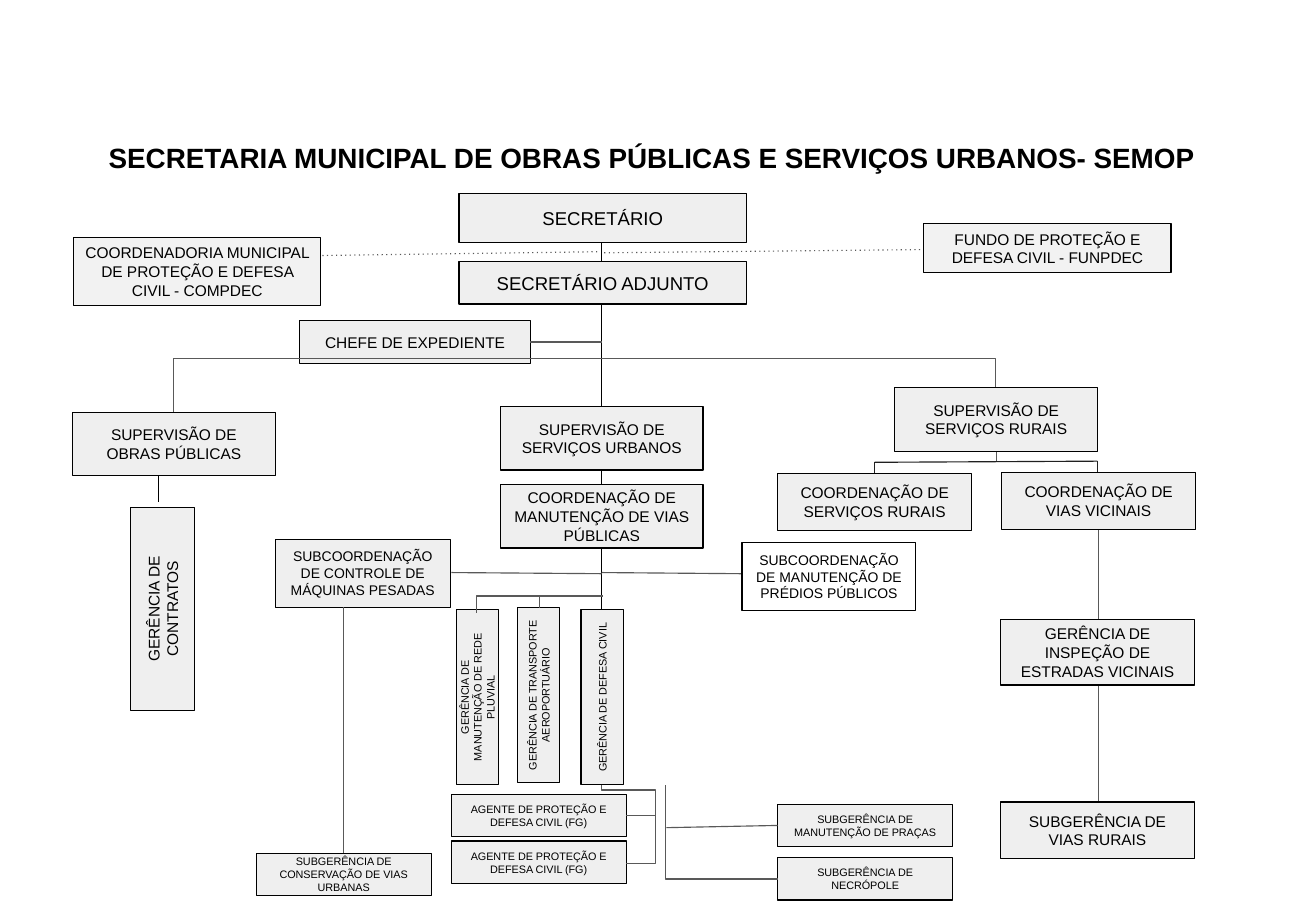
from dataclasses import dataclass
from typing import Any

from lxml.etree import SubElement
from pptx import Presentation
from pptx.dml.color import RGBColor
from pptx.enum.dml import MSO_LINE
from pptx.enum.shapes import MSO_CONNECTOR, MSO_SHAPE
from pptx.enum.text import MSO_ANCHOR, MSO_AUTO_SIZE, PP_ALIGN
from pptx.oxml.ns import qn
from pptx.util import Cm, Inches, Pt

BLACK = RGBColor(0x00, 0x00, 0x00)
WHITE = RGBColor(0xFF, 0xFF, 0xFF)
CHARCOAL = RGBColor(0x20, 0x20, 0x20)
GRAY = RGBColor(0x59, 0x59, 0x59)
BOX_GRAY = RGBColor(0xEF, 0xEF, 0xEF)
STAFF_GRAY = RGBColor(0xF2, 0xF2, 0xF2)

CELL = Inches(0.1)
FONT = "Arial"
LINE_WIDTH = Pt(0.75)
SUPERVISION = (18.2, 5.7)
SMALL = (15.7, 3.8)


def cells(count):
    """Turn a number of grid cells into a length."""
    return round(count * CELL)


def turned(left, top, width, height):
    """Return the frame that fills the given box after a quarter turn."""
    shift = (width - height) / 2
    return left + shift, top - shift, height, width


def write(frame, text, size, bold=False):
    """Fill a text frame with one centred paragraph."""
    frame.word_wrap = True
    frame.auto_size = MSO_AUTO_SIZE.NONE
    frame.margin_left = frame.margin_right = CELL
    frame.margin_top = frame.margin_bottom = CELL
    frame.text = text
    para = frame.paragraphs[0]
    para.alignment = PP_ALIGN.CENTER
    para.font.name = FONT
    para.font.size = Pt(size)
    para.font.bold = bold
    para.font.color.rgb = BLACK


@dataclass
class Region:
    """A part of the chart that places its pieces from its own corner."""

    shapes: Any
    left: float
    top: float

    def box(self, text, place, extent, size=10, fill=BOX_GRAY, upright=False):
        """Draw one unit of the organisation, optionally reading upwards."""
        frame = (self.left + place[0], self.top + place[1], *extent)
        if upright:
            frame = turned(*frame)
        shape = self.shapes.add_shape(MSO_SHAPE.RECTANGLE, *map(cells, frame))
        shape.rotation = 270 if upright else 0
        shape.shadow.inherit = False
        shape.fill.solid()
        shape.fill.fore_color.rgb = fill
        shape.line.color.rgb = BLACK
        shape.line.width = LINE_WIDTH
        shape.text_frame.vertical_anchor = MSO_ANCHOR.MIDDLE
        write(shape.text_frame, text, size)

    def connect(self, kind, start, end, color, dotted=False):
        """Draw a connector without a shadow."""
        points = (start[0] + self.left, start[1] + self.top,
                  end[0] + self.left, end[1] + self.top)
        connector = self.shapes.add_connector(kind, *map(cells, points))
        connector.line.color.rgb = color
        connector.line.width = LINE_WIDTH
        properties = connector._element.spPr
        if dotted:
            connector.line.dash_style = MSO_LINE.ROUND_DOT
            properties.find(f".//{qn('a:prstDash')}").set("val", "dot")
        SubElement(properties, qn("a:effectLst"))
        return properties

    def line(self, start, end, color=GRAY, dotted=False):
        """Draw a straight line."""
        self.connect(MSO_CONNECTOR.STRAIGHT, start, end, color, dotted)

    def elbow(self, place, extent, preset, rotation, flips="", adjustments=()):
        """Draw a bent connector whose turned frame fills the given box."""
        frame = (*place, *extent)
        if rotation % 180:
            frame = turned(*frame)
        left, top, width, height = frame
        across, down = (left, left + width), (top, top + height)
        if "h" in flips:
            across = across[::-1]
        if "v" in flips:
            down = down[::-1]
        start, end = zip(across, down)
        properties = self.connect(MSO_CONNECTOR.ELBOW, start, end, GRAY)
        properties.find(qn("a:xfrm")).set("rot", str(rotation * 60000))
        geometry = properties.find(qn("a:prstGeom"))
        geometry.set("prst", preset)
        values = geometry.find(qn("a:avLst"))
        for number, share in enumerate(adjustments, 1):
            SubElement(values, qn("a:gd"), name=f"adj{number}",
                       fmla=f"val {round(share * 100000)}")


def draw_title(title):
    """Place the heading across the top of the chart."""
    title.left, title.top, title.width, title.height = map(
        cells, (2.3, 11.6, 112.4, 4.9))
    title.text_frame.vertical_anchor = MSO_ANCHOR.TOP
    write(title.text_frame,
          "SECRETARIA MUNICIPAL DE OBRAS PÚBLICAS E SERVIÇOS URBANOS- SEMOP",
          18, bold=True)


def draw_leadership(region):
    """Draw the trunk, the secretaries and the office head."""
    region.line((27.1, 4.4), (27.1, 42.1), BLACK)
    region.box("SECRETÁRIO", (14.3, 0), (25.8, 4.4), 12)
    region.box("SECRETÁRIO ADJUNTO", (14.3, 6.1), (25.8, 3.8), 12)
    region.box("CHEFE DE EXPEDIENTE", (0, 11.4), (20.7, 3.8))
    region.line((20.7, 13.3), (27.1, 13.3))


def draw_civil_protection(region):
    """Draw the two advisory bodies on their dotted line."""
    region.line((76.8, 2.3), (47.4, 2.6), dotted=True)
    region.line((47, 2.5), (17.6, 2.9), dotted=True)
    region.box("COORDENADORIA MUNICIPAL DE PROTEÇÃO E DEFESA CIVIL - COMPDEC",
               (0, 1.2), (22.2, 6.1), fill=STAFF_GRAY)
    region.box("FUNDO DE PROTEÇÃO E DEFESA CIVIL - FUNPDEC",
               (76.3, 0), (22.2, 4.4), fill=STAFF_GRAY)


def draw_public_works(region):
    """Draw the public works branch and its link to the rural branch."""
    region.elbow((9.05, -2.25), (73.8, 2.3), "bentConnector3", 270, "hv",
                 (-1.1,))
    region.box("SUPERVISÃO DE OBRAS PÚBLICAS", (0, 0), SUPERVISION)
    region.line((7.7, 5.7), (7.7, 8.1), BLACK)
    region.box("GERÊNCIA DE CONTRATOS", (5.25, 8.55), SUPERVISION[::-1],
               upright=True)


def draw_urban_services(region):
    """Draw the urban services branch."""
    region.box("SUPERVISÃO DE SERVIÇOS URBANOS", (21.9, 0), SUPERVISION)
    region.box("COORDENAÇÃO DE MANUTENÇÃO DE VIAS PÚBLICAS", (21.9, 7),
               SUPERVISION)
    region.box("SUBCOORDENAÇÃO DE CONTROLE DE MÁQUINAS PESADAS",
               (1.7, 11.9), (15.7, 6.1), 9)
    region.box("SUBCOORDENAÇÃO DE MANUTENÇÃO DE PRÉDIOS PÚBLICOS",
               (43.6, 12.2), (15.6, 6.1), 9, WHITE)
    region.line((17.5, 14.9), (31, 15))
    region.line((31, 14.9), (43.5, 15))
    for text, left, top in (
            ("GERÊNCIA DE MANUTENÇÃO DE REDE PLUVIAL", 17.95, 18.25),
            ("GERÊNCIA DE TRANSPORTE AEROPORTUÁRIO", 23.45, 18.05),
            ("GERÊNCIA DE DEFESA CIVIL", 29.15, 18.25)):
        region.box(text, (left, top), SMALL[::-1], 7, upright=True)
    region.line((25.4, 18.1), (25.4, 17.1))
    region.elbow((19.8, 17), (11.3, 1.5), "bentConnector2", 90, "hv")
    region.line((7.8, 18), (7.8, 40.1))
    region.box("SUBGERÊNCIA DE CONSERVAÇÃO DE VIAS URBANAS", (0, 40.1),
               SMALL, 7)


def draw_agents(region):
    """Draw the two civil defence agents."""
    for row in range(2):
        region.box("AGENTE DE PROTEÇÃO E DEFESA CIVIL (FG)",
                   (0, 0.8 + 4.2 * row), SMALL, 7)
    region.elbow((13.5, 0), (2.2, 7), "bentConnector4", 270, "h", (0.06, 2.2))
    region.line((15.7, 2.7), (18.4, 2.7))


def draw_public_spaces(region):
    """Draw the squares and cemetery units."""
    for row, text in enumerate(("SUBGERÊNCIA DE MANUTENÇÃO DE PRAÇAS",
                                "SUBGERÊNCIA DE NECRÓPOLE")):
        region.box(text, (10.1, 1.7 + 4.8 * row), SMALL, 7)
    region.line((10.1, 8.4), (8.8, 8.4))
    region.elbow((0, 0), (10.1, 8.4), "bentConnector2", 180)
    region.line((10.1, 3.6), (0.1, 3.8))


def draw_rural_services(region):
    """Draw the rural services branch."""
    region.line((28.8, 12.8), (28.8, 37.2))
    region.line((19.6, 5.6), (19.6, 6.7))
    region.line((8.7, 7.7), (8.7, 6.7), CHARCOAL)
    region.line((8.7, 6.7), (28.7, 6.6), CHARCOAL)
    region.line((28.7, 6.6), (28.7, 7.7), CHARCOAL)
    region.box("SUPERVISÃO DE SERVIÇOS RURAIS", (10.5, 0), SUPERVISION)
    for text, left, top, height in (
            ("COORDENAÇÃO DE SERVIÇOS RURAIS", 0, 7.7, 5.1),
            ("COORDENAÇÃO DE VIAS VICINAIS", 20.1, 7.6, 5.1),
            ("GERÊNCIA DE INSPEÇÃO DE ESTRADAS VICINAIS", 20, 20.8, 5.9),
            ("SUBGERÊNCIA DE VIAS RURAIS", 20, 37.2, 5.1)):
        region.box(text, (left, top), (17.4, height))


def main():
    """Build the organisation chart and save it."""
    deck = Presentation()
    deck.slide_width, deck.slide_height = Cm(30), Cm(21)
    page = deck.slides.add_slide(deck.slide_layouts[5])
    draw_title(page.shapes.title)
    for draw, left, top in ((draw_leadership, 26.9, 17.4),
                            (draw_civil_protection, 6.6, 20.1),
                            (draw_public_works, 6.5, 37),
                            (draw_urban_services, 23, 36.5),
                            (draw_agents, 40.5, 70.5),
                            (draw_public_spaces, 59.7, 70.5),
                            (draw_rural_services, 69.8, 34.8)):
        draw(Region(page.shapes, left, top))
    deck.save("out.pptx")


if __name__ == "__main__":
    main()
